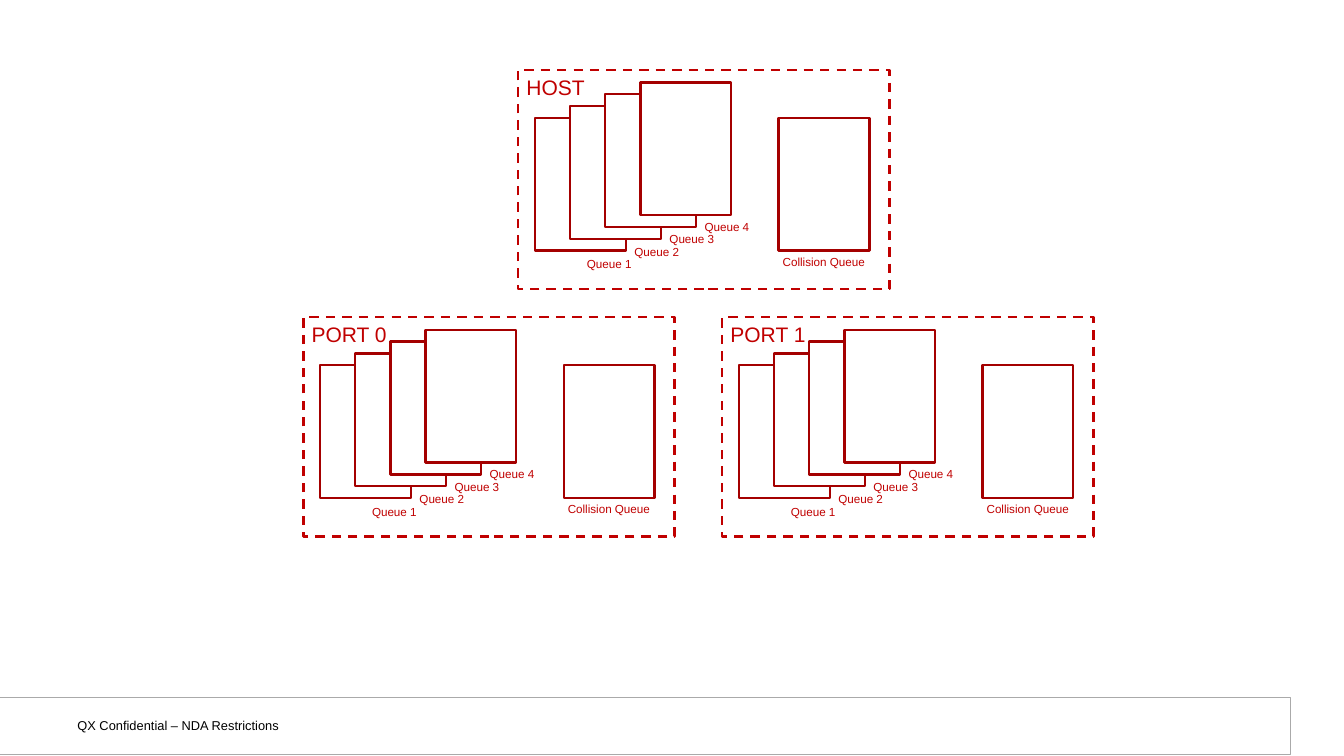
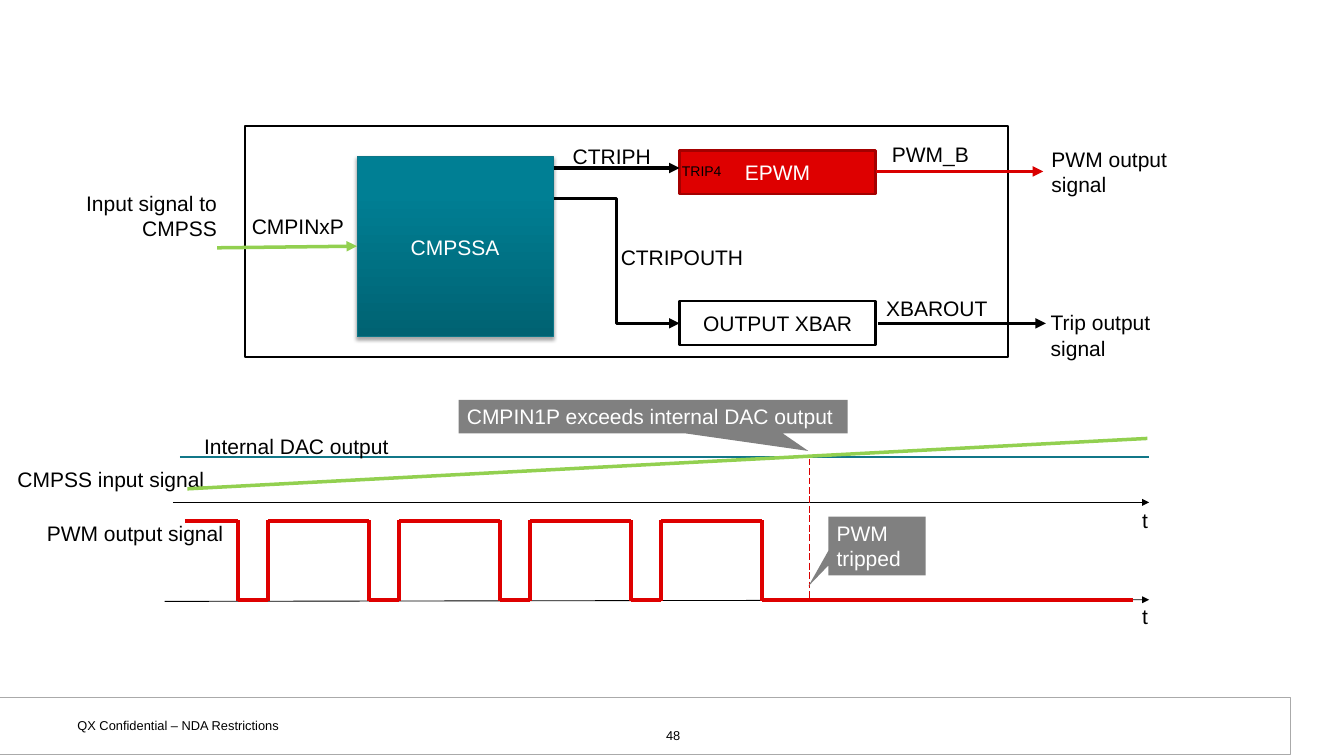
from itertools import pairwise

from pptx import Presentation
from pptx.dml.color import RGBColor
from pptx.enum.dml import MSO_LINE
from pptx.enum.shapes import MSO_CONNECTOR as LINK, MSO_SHAPE as SHAPE
from pptx.enum.text import MSO_ANCHOR as ANCHOR, PP_ALIGN as ALIGN
from pptx.oxml import parse_xml
from pptx.oxml.ns import nsdecls
from pptx.oxml.xmlchemy import OxmlElement
from pptx.util import Pt

WHITE = RGBColor(0xFF, 0xFF, 0xFF)
BLACK = RGBColor(0, 0, 0)
GRAY = RGBColor(0x80, 0x80, 0x80)
FOOTER_GRAY = RGBColor(0xAA, 0xAA, 0xAA)
PANEL_RED = RGBColor(0xC0, 0, 0)
DARK_RED = RGBColor(0xA4, 0, 0)
RED = RGBColor(0xDE, 0, 0)
SIGNAL_RED = RGBColor(0xD9, 0, 0)
GREEN = RGBColor(0x92, 0xD0, 0x50)
TEAL = RGBColor(0x11, 0x77, 0x88)
TEAL_EDGE = RGBColor(0x0D, 0x76, 0x87)
TEAL_DARK = RGBColor(0, 0x62, 0x72)
TEAL_LIGHT = RGBColor(0, 0x7F, 0x94)

FONT = "Arial"
INSETS = (7.2, 3.6)
FOOTER_INSETS = (9.4, 5)
FOOTER = "QX Confidential – NDA Restrictions"

# Queue slide: panel corners, then parts placed relative to a panel
PANELS = [("HOST", 444.2, 60), ("PORT 0", 260, 272), ("PORT 1", 619, 272)]
PANEL_SIZE = (318.2, 188)
CARD_SIZE = (77.8, 113.8)
CARD_START, CARD_STEP = (14.4, 41), (30.1, -10.1)
LABEL_TOP, LABEL_STEP = 157, -10.8
QUEUES = [("Queue 1", 37.4), ("Queue 2", 48), ("Queue 3", 48), ("Queue 4", 48)]
QUEUE_LABEL_SIZE = (56, 19)
COLLISION = ("Collision Queue", 223.2, 41)
COLLISION_LABEL = (219.6, 154.8, 90, 19)

# Comparator slide
PAGE_NUMBER = "48"
FRAME = (210.2, 108, 653.8, 198)
COMPARATOR = ("CMPSSA", (306, 134, 168, 154.8))
BLOCKS = [
    ("EPWM", (582.5, 128.9, 168, 37.4), RED, DARK_RED, WHITE),
    ("OUTPUT XBAR", (582.5, 257.8, 168, 38.2), WHITE, BLACK, BLACK),
]
ARROWS = [  # ends, colour, width
    ((750.5, 147, 894.2, 147), SIGNAL_RED, 3),
    ((474.5, 144, 582.5, 144), BLACK, 3),
    ((186.2, 212.4, 306, 211), GREEN, 3),
    ((752.4, 277.2, 896.4, 277.2), BLACK, 3),
    ((148.3, 430.6, 985, 430.6), BLACK, 0.75),
    ((141.1, 515.5, 985, 514.1), BLACK, 0.75),
]
TRIP_OUT_LINK = (474.5, 170, 582.5, 277.2)
SIGNAL_LABELS = [  # text, box, size
    ("CTRIPOUTH", (525, 206, 126, 28.8), 18),
    ("PWM_B", (757.4, 118, 88, 28.8), 18),
    ("CMPINxP", (208.8, 179.3, 100, 28.8), 18),
    ("XBAROUT", (752.4, 249.8, 108, 28.8), 18),
    ("TRIP4", (577.4, 136, 54, 21.6), 12),
    ("CTRIPH", (483.8, 119.5, 88, 28.8), 18),
    ("PWM output signal", (33.1, 442.8, 174, 28.8), 18),
    ("CMPSS input signal", (7.9, 396, 184, 28.8), 18),
]
WRAPPED_LABELS = [  # text, box, alignment
    ("Internal DAC output", (167.8, 368, 213.8, 28.8), ALIGN.LEFT),
    ("t", (972, 431.3, 24.5, 28.8), ALIGN.LEFT),
    ("t", (972, 514.1, 24.5, 28.8), ALIGN.LEFT),
    ("Input signal to CMPSS", (42.5, 159.8, 150.5, 50.4), ALIGN.RIGHT),
    ("PWM output signal", (894.2, 121.7, 123.1, 50.4), ALIGN.LEFT),
    ("Trip output signal", (893.5, 262.1, 123.1, 50.4), ALIGN.LEFT),
]
TRIP_MARK = (693.4, 393.1, 693.4, 515.5)
DAC_LEVEL = (154.1, 391.7, 985, 391.7)
INPUT_RAMP = (160.6, 419, 983.5, 375.8)
CALLOUTS = [  # text, box, tip
    ("CMPIN1P exceeds internal DAC output", (393.1, 342.7, 333.4, 28.8), (0.399, 1.023)),
    ("PWM tripped", (710, 442.8, 83.5, 50.4), (-0.705, 0.686)),
]
PULSE_START, PULSE_END = 158.4, 971.3
PULSE_HIGH, PULSE_LOW = 446.4, 514.1
FIRST_FALL, LOW_TIME, PERIOD, PULSES = 204, 25.6, 112.3, 4


def points(values):
    return [Pt(value) for value in values]


def write(shape, text, size=18, color=BLACK, align=ALIGN.LEFT,
          anchor=ANCHOR.TOP, wrap=True, insets=INSETS):
    frame = shape.text_frame
    side, top = points(insets)
    layout = dict(word_wrap=wrap, vertical_anchor=anchor, margin_left=side,
                  margin_right=side, margin_top=top, margin_bottom=top)
    for key, value in layout.items():
        setattr(frame, key, value)
    paragraph = frame.paragraphs[0]
    paragraph.text = text
    paragraph.alignment = align
    for key, value in dict(name=FONT, size=Pt(size)).items():
        setattr(paragraph.font, key, value)
    paragraph.font.color.rgb = color


def add_label(slide, text, box, **formats):
    write(slide.shapes.add_textbox(*points(box)), text, **formats)


def add_box(slide, box, fill=WHITE, edge=None, width=2, kind=SHAPE.RECTANGLE):
    shape = slide.shapes.add_shape(kind, *points(box))
    shape.shadow.inherit = False
    shape.fill.solid()
    shape.fill.fore_color.rgb = fill
    if edge is None:
        shape.line.fill.background()
    else:
        shape.line.color.rgb = edge
        shape.line.width = Pt(width)
    return shape


def add_line(slide, ends, color, width, arrow=False, kind=LINK.STRAIGHT):
    link = slide.shapes.add_connector(kind, *points(ends))
    link.line.color.rgb = color
    link.line.width = Pt(width)
    if arrow:
        head = OxmlElement("a:tailEnd")
        head.set("type", "triangle")
        link.line._get_or_add_ln().append(head)
    link._element.spPr.append(OxmlElement("a:effectLst"))
    return link


def add_slide(deck):
    """Add a blank slide with the footer band."""
    slide = deck.slides.add_slide(deck.slide_layouts[6])
    add_box(slide, (-2.2, 597.6, 1108.4, 49), WHITE, FOOTER_GRAY, 0.75)
    add_label(slide, FOOTER, (56.9, 610, 265.7, 23), size=11, insets=FOOTER_INSETS)
    return slide


def add_panel(slide, name, left, top):
    """Add a dashed panel with its stacked queues and its collision queue."""
    panel = add_box(slide, (left, top, *PANEL_SIZE), WHITE, PANEL_RED)
    panel.line.dash_style = MSO_LINE.DASH
    write(panel, name, color=PANEL_RED)
    small = dict(size=10, color=PANEL_RED, wrap=False)
    for i, (queue, label_shift) in enumerate(QUEUES):
        x, y = (start + i * step for start, step in zip(CARD_START, CARD_STEP))
        add_box(slide, (left + x, top + y, *CARD_SIZE), WHITE, DARK_RED)
        label_top = top + LABEL_TOP + i * LABEL_STEP
        add_label(slide, queue, (left + x + label_shift, label_top, *QUEUE_LABEL_SIZE), **small)
    text, x, y = COLLISION
    add_box(slide, (left + x, top + y, *CARD_SIZE), WHITE, DARK_RED)
    x, y, *size = COLLISION_LABEL
    add_label(slide, text, (left + x, top + y, *size), **small)


def add_comparator(slide):
    name, box = COMPARATOR
    block = add_box(slide, box, TEAL_LIGHT, TEAL_EDGE, 0.75)
    block.fill.gradient()
    block.fill.gradient_angle = 90
    stops = zip(block.fill.gradient_stops, (TEAL_DARK, TEAL_LIGHT), (0, 0.8))
    for stop, color, position in stops:
        stop.color.rgb = color
        stop.position = position
    block._element.spPr.find("{*}effectLst").append(parse_xml(
        f'<a:outerShdw {nsdecls("a")} blurRad="{Pt(3.1)}" dist="{Pt(1.8)}" dir="5400000" '
        'rotWithShape="0"><a:srgbClr val="000000"><a:alpha val="35000"/></a:srgbClr>'
        '</a:outerShdw>'))
    write(block, name, color=WHITE, align=ALIGN.CENTER, anchor=ANCHOR.MIDDLE)


def add_pulse_train(slide):
    falls = [FIRST_FALL + i * PERIOD for i in range(PULSES + 1)]
    edges = sorted(falls + [fall + LOW_TIME for fall in falls[:-1]])
    for x in edges:
        add_line(slide, (x, PULSE_LOW + 1, x, PULSE_HIGH - 1), RED, 3)
    for i, (start, end) in enumerate(pairwise([PULSE_START, *edges, PULSE_END])):
        level = PULSE_LOW if i % 2 else PULSE_HIGH
        add_line(slide, (start, level, end, level), RED, 3)


def build_queue_slide(deck):
    slide = add_slide(deck)
    for panel in PANELS:
        add_panel(slide, *panel)


def build_comparator_slide(deck):
    slide = add_slide(deck)
    add_box(slide, FRAME, WHITE, BLACK)
    add_label(slide, PAGE_NUMBER, (442.8, 618.5, 268.6, 19.4), size=11,
              align=ALIGN.CENTER, insets=FOOTER_INSETS)
    add_comparator(slide)
    for name, box, fill, edge, color in BLOCKS:
        write(add_box(slide, box, fill, edge), name, color=color,
              align=ALIGN.CENTER, anchor=ANCHOR.MIDDLE)
    for ends, color, width in ARROWS:
        add_line(slide, ends, color, width, arrow=True)
    add_line(slide, TRIP_OUT_LINK, BLACK, 3, arrow=True, kind=LINK.ELBOW)
    for text, box, size in SIGNAL_LABELS:
        add_label(slide, text, box, size=size, wrap=False)
    add_line(slide, TRIP_MARK, SIGNAL_RED, 0.75).line.dash_style = MSO_LINE.LONG_DASH
    add_line(slide, DAC_LEVEL, TEAL, 1.5)
    for text, box, align in WRAPPED_LABELS:
        add_label(slide, text, box, align=align)
    add_line(slide, INPUT_RAMP, GREEN, 3)
    for text, box, tip in CALLOUTS:
        callout = add_box(slide, box, GRAY, kind=SHAPE.RECTANGULAR_CALLOUT)
        for i, offset in enumerate(tip):
            callout.adjustments[i] = offset
        write(callout, text, color=WHITE)
    add_pulse_train(slide)


def main():
    deck = Presentation()
    deck.slide_width, deck.slide_height = Pt(1152), Pt(648)
    build_queue_slide(deck)
    build_comparator_slide(deck)
    deck.save("out.pptx")


if __name__ == "__main__":
    main()
